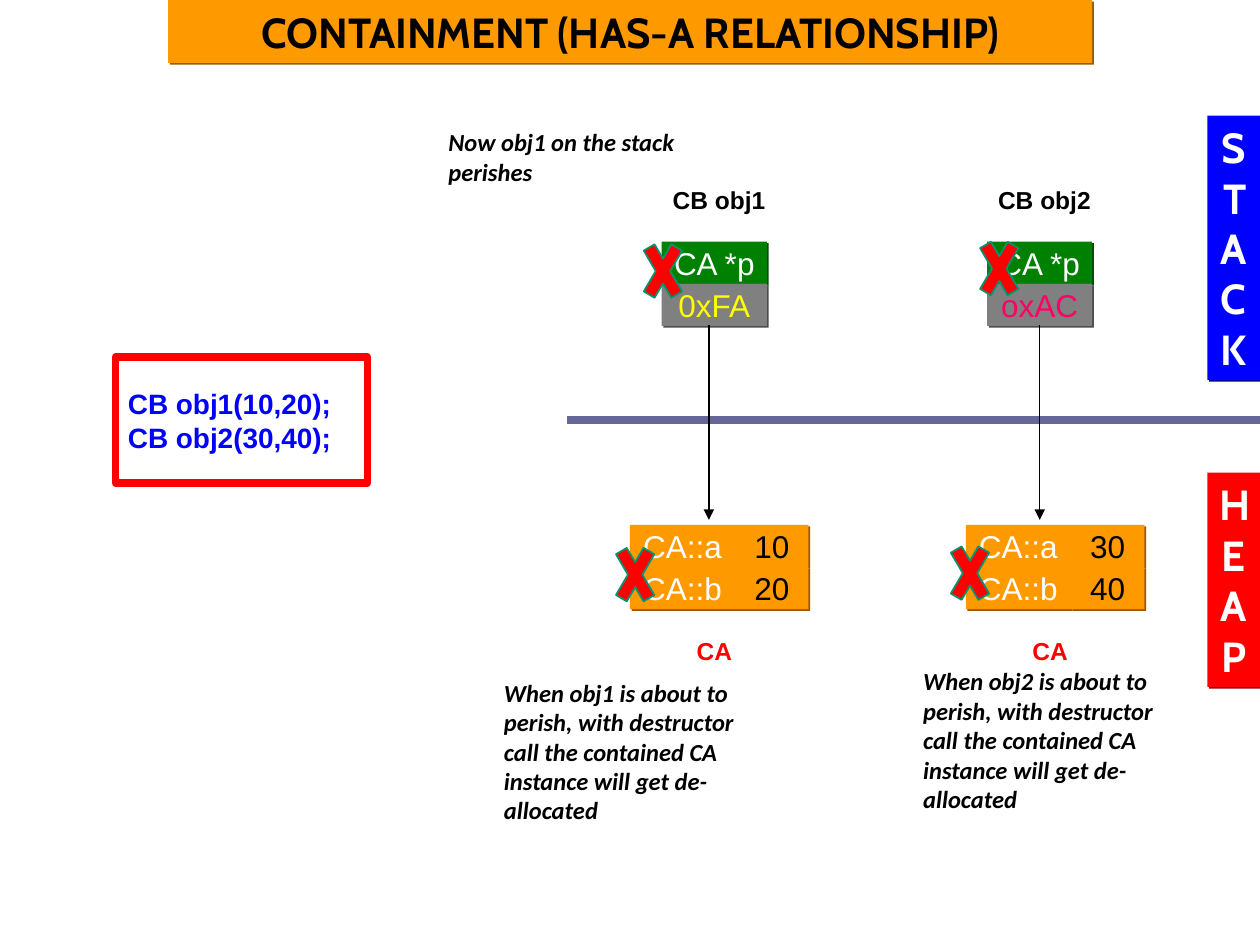
from lxml.etree import SubElement
from pptx import Presentation
from pptx.dml.color import RGBColor
from pptx.enum.shapes import MSO_CONNECTOR, MSO_SHAPE
from pptx.enum.text import MSO_ANCHOR, PP_ALIGN
from pptx.oxml.ns import qn
from pptx.util import Cm, Pt

BLACK = RGBColor(0x00, 0x00, 0x00)
WHITE = RGBColor(0xFF, 0xFF, 0xFF)
ORANGE = RGBColor(0xFF, 0x99, 0x00)
BLUE = RGBColor(0x00, 0x00, 0xFF)
RED = RGBColor(0xFF, 0x00, 0x00)
GREEN = RGBColor(0x00, 0x80, 0x00)
GRAY = RGBColor(0x80, 0x80, 0x80)
YELLOW = RGBColor(0xFF, 0xFF, 0x00)
PINK = RGBColor(0xFF, 0x00, 0x66)
SLATE = RGBColor(0x66, 0x66, 0x99)
TEAL = RGBColor(0x00, 0x95, 0x6F)

# Content; all positions are in centimetres
BANNERS = [
    ("CONTAINMENT (HAS-A RELATIONSHIP)", (3.39, 0, 18.63, 1.27), ORANGE, BLACK),
    ("STACK", (24.34, 2.33, 1.06, 5.33), BLUE, WHITE),
    ("HEAP", (24.34, 9.53, 1.06, 4.32), RED, WHITE),
]
CODE = "CB obj1(10,20);\nCB obj2(30,40);"
OBJECTS = [
    {"name": "obj1", "address": "0xFA", "address_color": YELLOW, "values": ("10", "20"),
     "stack_left": 13.34, "heap_left": 12.7, "arrow_x": 14.29, "note": (9.91, 13.54),
     "crosses": [(12.83, 4.55), (12.27, 10.67)]},
    {"name": "obj2", "address": "oxAC", "address_color": PINK, "values": ("30", "40"),
     "stack_left": 19.9, "heap_left": 19.47, "arrow_x": 20.96, "note": (18.36, 13.31),
     "crosses": [(19.61, 4.5), (19.02, 10.64)]},
]
PERISH_NOTE = ("When {} is about to perish, with destructor call the contained CA "
               "instance will get de-allocated")
FIRST_NOTE = "Now obj1 on the stack perishes"

STACK_TOP, HEAP_TOP = 4.87, 10.58
ROW, NAME_WIDTH, VALUE_WIDTH = 0.85, 2.12, 1.48
CROSS_SIZE = (1.07, 1.83)

presentation = Presentation()
presentation.slide_width, presentation.slide_height = Cm(25.4), Cm(19.05)
slide = presentation.slides.add_slide(presentation.slide_layouts[6])
shapes = slide.shapes


def write(shape, text, color, size, font="Arial", bold=False, italic=False,
          align=PP_ALIGN.CENTER, anchor=MSO_ANCHOR.TOP, wrap=True):
    frame = shape.text_frame
    frame.text = text
    frame.word_wrap = wrap
    frame.vertical_anchor = anchor
    for paragraph in frame.paragraphs:
        paragraph.alignment = align
        for run in paragraph.runs:
            run.font.name, run.font.size = font, Pt(size)
            run.font.bold, run.font.italic = bold, italic
            run.font.color.rgb = color


def add_box(box, fill, kind=MSO_SHAPE.RECTANGLE, line=None, line_width=1):
    shape = shapes.add_shape(kind, *map(Cm, box))
    shape.shadow.inherit = False
    shape.fill.solid()
    shape.fill.fore_color.rgb = fill
    if line is None:
        shape.line.fill.background()
    else:
        shape.line.color.rgb = line
        shape.line.width = Pt(line_width)
    return shape


def add_shadowed_box(box, fill):
    """Box with a hard shadow in a 60 % darker tone of its fill."""
    shape = add_box(box, fill)
    effects = shape._element.spPr.find(qn("a:effectLst"))
    shadow = SubElement(effects, qn("a:outerShdw"), dist=str(Pt(1.4)),
                        dir=str(45 * 60000), algn="ctr", rotWithShape="0")
    tone = RGBColor(*(round(channel * 0.6) for channel in fill))
    SubElement(shadow, qn("a:srgbClr"), val=str(tone))
    return shape


def add_cell(left, top, width, text, fill, color):
    write(add_shadowed_box((left, top, width, ROW), fill), text, color, 18,
          anchor=MSO_ANCHOR.MIDDLE, wrap=False)


def add_label(box, text, color):
    write(shapes.add_textbox(*map(Cm, box)), text, color, 14, bold=True)


def add_note(left, top, height, text):
    write(shapes.add_textbox(Cm(left), Cm(top), Cm(5.72), Cm(height)), text, BLACK, 14,
          "Calibri", bold=True, italic=True, align=PP_ALIGN.LEFT)


def add_line(x1, y1, x2, y2, color, width, arrow=False):
    line = shapes.add_connector(MSO_CONNECTOR.STRAIGHT, *map(Cm, (x1, y1, x2, y2)))
    line.line.color.rgb = color
    line.line.width = Pt(width)
    if arrow:
        SubElement(line.line._get_or_add_ln(), qn("a:tailEnd"), type="triangle")
    SubElement(line._element.spPr, qn("a:effectLst"))


# Title, memory area banners and the stack/heap divider
for text, box, fill, color in BANNERS:
    write(add_shadowed_box(box, fill), text, color, 24, "Cabin", bold=True)
add_line(11.43, 8.47, 25.4, 8.47, SLATE, 4.5)

# Code box
write(add_box((2.33, 7.2, 5.08, 2.54), WHITE, line=RED, line_width=4.5), CODE, BLUE, 16,
      bold=True, align=PP_ALIGN.LEFT, anchor=MSO_ANCHOR.MIDDLE, wrap=False)

for item in OBJECTS:
    # Pointer on the stack
    left = item["stack_left"]
    add_label((left - 0.22, 3.6, 2.75, 0.86), f"CB {item['name']}", BLACK)
    add_cell(left, STACK_TOP, NAME_WIDTH, "CA *p", GREEN, WHITE)
    add_cell(left, STACK_TOP + ROW, NAME_WIDTH, item["address"], GRAY, item["address_color"])

    # Contained instance on the heap
    left = item["heap_left"]
    columns = [(left, NAME_WIDTH, ("CA::a", "CA::b"), WHITE),
               (left + NAME_WIDTH, VALUE_WIDTH, item["values"], BLACK)]
    for column_left, width, texts, color in columns:
        for row, text in enumerate(texts):
            add_cell(column_left, HEAP_TOP + row * ROW, width, text, ORANGE, color)
    add_label((left + 0.64, 12.7, NAME_WIDTH, 0.86), "CA", RED)
    add_line(item["arrow_x"], 6.56, item["arrow_x"], 10.48, BLACK, 0.75, arrow=True)

    # Explanation and deletion crosses
    add_note(*item["note"], 3.23, PERISH_NOTE.format(item["name"]))
    for position in item["crosses"]:
        add_box(position + CROSS_SIZE, RED, MSO_SHAPE.MATH_MULTIPLY, line=TEAL)

add_note(8.79, 2.44, 1.45, FIRST_NOTE)

presentation.save("out.pptx")
